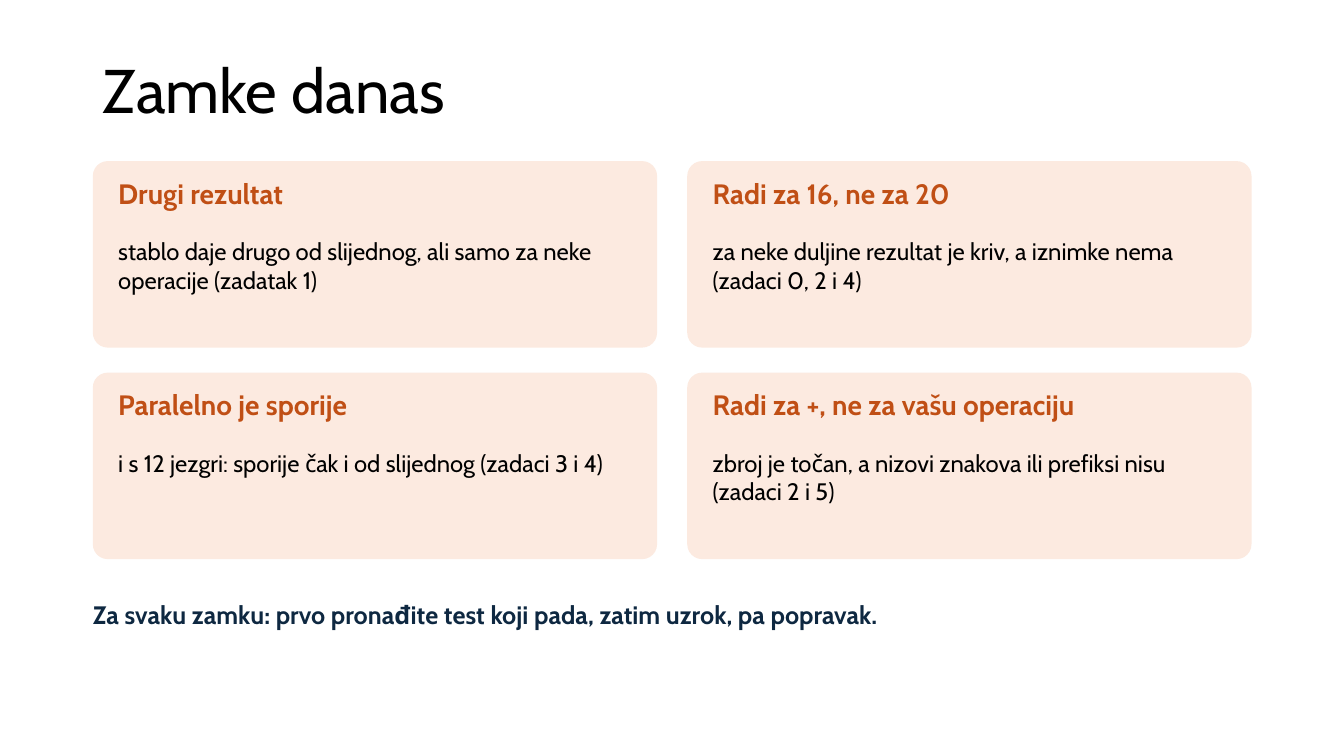
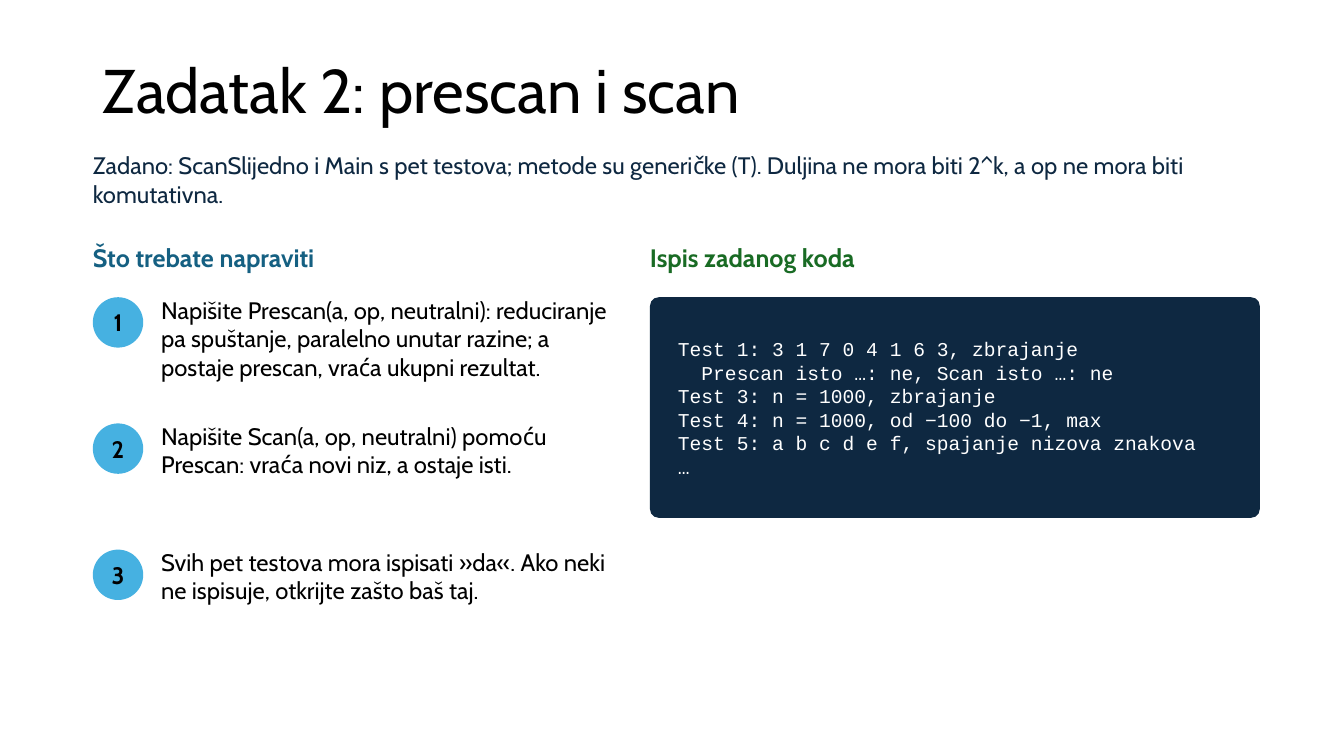
from dataclasses import dataclass

from pptx import Presentation
from pptx.dml.color import RGBColor
from pptx.enum.shapes import MSO_SHAPE
from pptx.enum.text import MSO_ANCHOR, MSO_AUTO_SIZE, PP_ALIGN
from pptx.util import Cm, Pt


@dataclass(frozen=True)
class TextStyle:
    size: int
    color: str
    bold: bool = False
    font: str = "Cabin"


@dataclass(frozen=True)
class Theme:
    # Fills
    card: str = "FCEAE0"
    badge: str = "46B1E1"
    code_panel: str = "0E2841"
    # Text styles
    title: TextStyle = TextStyle(44, "000000")
    body: TextStyle = TextStyle(17, "000000")
    intro: TextStyle = TextStyle(17, "0E2841")
    number: TextStyle = TextStyle(17, "000000", True)
    card_heading: TextStyle = TextStyle(20, "C04F15", True)
    task_heading: TextStyle = TextStyle(18, "156082", True)
    output_heading: TextStyle = TextStyle(18, "196B24", True)
    conclusion: TextStyle = TextStyle(18, "0E2841", True)
    code: TextStyle = TextStyle(14, "FFFFFF", False, "Courier New")


theme = Theme()
MARGIN = 2.34  # left edge shared by both slides, in cm


def add_run(paragraph, text, style):
    run = paragraph.add_run()
    run.text = text
    run.font.name = style.font
    run.font.size = Pt(style.size)
    run.font.bold = style.bold
    run.font.color.rgb = RGBColor.from_string(style.color)


def add_box(slide, box, text=None, style=None, preset=None, fill=None):
    """Add a text box, or a filled shape when a preset is given."""
    position = [Cm(length) for length in box]
    if preset is None:
        shape = slide.shapes.add_textbox(*position)
    else:
        shape = slide.shapes.add_shape(preset, *position)
        shape.shadow.inherit = False
        shape.fill.solid()
        shape.fill.fore_color.rgb = RGBColor.from_string(fill)
        shape.line.fill.background()
    frame = shape.text_frame
    frame.word_wrap = True
    if preset is None:
        frame.margin_left = frame.margin_right = 0
        frame.margin_top = frame.margin_bottom = 0
        frame.auto_size = MSO_AUTO_SIZE.SHAPE_TO_FIT_TEXT
    else:
        frame.vertical_anchor = MSO_ANCHOR.MIDDLE
    if text:
        add_run(frame.paragraphs[0], text, style)
    return shape


presentation = Presentation()
presentation.slide_width = Cm(33.87)
presentation.slide_height = Cm(19.05)
title_only = presentation.slide_layouts[5]

# Slides and titles
slides = []
for heading in ("Zamke danas", "Zadatak 2: prescan i scan"):
    slide = presentation.slides.add_slide(title_only)
    title = slide.shapes.title
    title.left, title.top = Cm(MARGIN), Cm(1.02)
    title.width, title.height = Cm(29.21), Cm(2.69)
    title.text_frame.auto_size = MSO_AUTO_SIZE.NONE
    title.text_frame.vertical_anchor = MSO_ANCHOR.MIDDLE
    paragraph = title.text_frame.paragraphs[0]
    paragraph.alignment = PP_ALIGN.LEFT
    paragraph.line_spacing = 0.9
    add_run(paragraph, heading, theme.title)
    slides.append(slide)
traps_slide, task_slide = slides

# Slide 1: two-by-two grid of traps
traps = [
    ("Drugi rezultat",
     "stablo daje drugo od slijednog, ali samo za neke operacije (zadatak 1)"),
    ("Radi za 16, ne za 20",
     "za neke duljine rezultat je kriv, a iznimke nema (zadaci 0, 2 i 4)"),
    ("Paralelno je sporije",
     "i s 12 jezgri: sporije čak i od slijednog (zadaci 3 i 4)"),
    ("Radi za +, ne za vašu operaciju",
     "zbroj je točan, a nizovi znakova ili prefiksi nisu (zadaci 2 i 5)"),
]
CARD_WIDTH, CARD_HEIGHT = 14.22, 4.7
COLUMN_GAP, ROW_GAP = 0.76, 0.63
CARD_PADDING = 0.64
for index, (heading, description) in enumerate(traps):
    row, column = divmod(index, 2)
    left = MARGIN + column * (CARD_WIDTH + COLUMN_GAP)
    top = 4.06 + row * (CARD_HEIGHT + ROW_GAP)
    card = add_box(traps_slide, (left, top, CARD_WIDTH, CARD_HEIGHT),
                   preset=MSO_SHAPE.ROUNDED_RECTANGLE, fill=theme.card)
    card.adjustments[0] = 0.08
    text_left = left + CARD_PADDING
    text_width = CARD_WIDTH - 2 * CARD_PADDING
    add_box(traps_slide, (text_left, top + 0.38, text_width, 1.27),
            heading, theme.card_heading)
    add_box(traps_slide, (text_left, top + 1.91, text_width, 2.54),
            description, theme.body)

add_box(traps_slide, (MARGIN, 15.11, 29.46, 2.03),
        "Za svaku zamku: prvo pronađite test koji pada, zatim uzrok, pa popravak.",
        theme.conclusion)

# Slide 2: introduction
add_box(task_slide, (MARGIN, 3.81, 29.46, 1.27),
        "Zadano: ScanSlijedno i Main s pet testova; metode su generičke (T). "
        "Duljina ne mora biti 2^k, a op ne mora biti komutativna.",
        theme.intro)

# Slide 2: numbered steps
HEADING_TOP, CONTENT_TOP = 6.1, 7.49
BADGE_SIZE, STEP_HEIGHT = 1.27, 3.18
add_box(task_slide, (MARGIN, HEADING_TOP, 16.76, 1.02),
        "Što trebate napraviti", theme.task_heading)
steps = [
    "Napišite Prescan(a, op, neutralni): reduciranje pa spuštanje, paralelno "
    "unutar razine; a postaje prescan, vraća ukupni rezultat.",
    "Napišite Scan(a, op, neutralni) pomoću Prescan: vraća novi niz, a ostaje isti.",
    "Svih pet testova mora ispisati »da«. Ako neki ne ispisuje, otkrijte zašto baš taj.",
]
for index, step in enumerate(steps):
    top = CONTENT_TOP + index * STEP_HEIGHT
    badge = add_box(task_slide, (MARGIN, top, BADGE_SIZE, BADGE_SIZE),
                    str(index + 1), theme.number, MSO_SHAPE.OVAL, theme.badge)
    frame = badge.text_frame
    frame.margin_left = frame.margin_right = Cm(0.13)
    frame.margin_top = frame.margin_bottom = Cm(0.05)
    frame.paragraphs[0].alignment = PP_ALIGN.CENTER
    add_box(task_slide, (4.06, top - 0.05, 11.68, STEP_HEIGHT), step, theme.body)

# Slide 2: program output
OUTPUT_LEFT, OUTPUT_WIDTH = 16.38, 15.37
add_box(task_slide, (OUTPUT_LEFT, HEADING_TOP, OUTPUT_WIDTH, 1.02),
        "Ispis zadanog koda", theme.output_heading)
panel = add_box(task_slide, (OUTPUT_LEFT, CONTENT_TOP, OUTPUT_WIDTH, 5.56),
                preset=MSO_SHAPE.ROUNDED_RECTANGLE, fill=theme.code_panel)
panel.adjustments[0] = 0.04
frame = panel.text_frame
frame.margin_left, frame.margin_right = Cm(0.64), Cm(0.25)
frame.margin_top = frame.margin_bottom = Cm(0.13)
output_lines = [
    "Test 1: 3 1 7 0 4 1 6 3, zbrajanje",
    "  Prescan isto …: ne, Scan isto …: ne",
    "Test 3: n = 1000, zbrajanje",
    "Test 4: n = 1000, od −100 do −1, max",
    "Test 5: a b c d e f, spajanje nizova znakova",
    "…",
]
for index, line in enumerate(output_lines):
    paragraph = frame.add_paragraph() if index else frame.paragraphs[0]
    paragraph.alignment = PP_ALIGN.LEFT
    add_run(paragraph, line, theme.code)

presentation.save("out.pptx")
